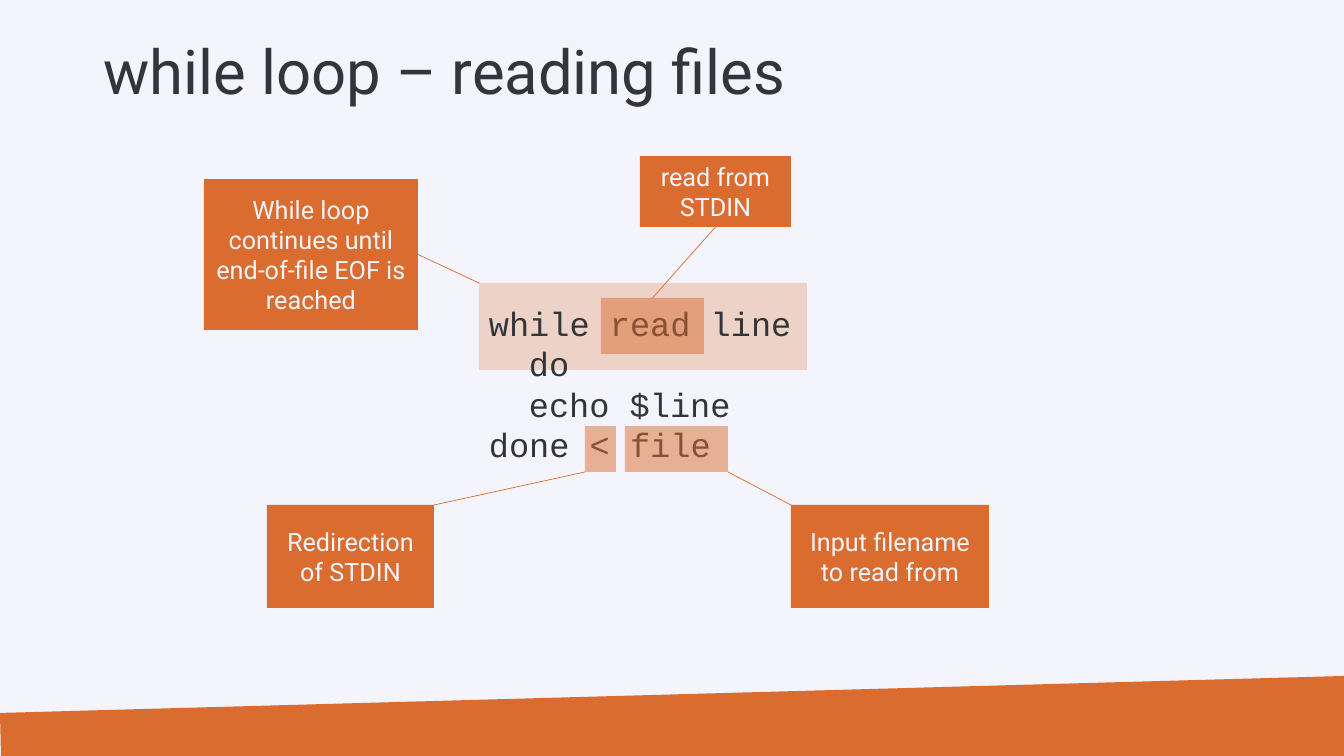
from lxml.etree import SubElement
from pptx import Presentation
from pptx.dml.color import RGBColor
from pptx.enum.shapes import MSO_CONNECTOR, MSO_SHAPE
from pptx.enum.text import MSO_ANCHOR, MSO_AUTO_SIZE, PP_ALIGN
from pptx.oxml.ns import qn
from pptx.util import Emu, Pt

EMU_PER_PX = 914400 / 100.8
SLIDE_WIDTH, SLIDE_HEIGHT = 1344, 756
CODE_INDENT = 40

PALE = RGBColor(0xF4, 0xF5, 0xFC)
ORANGE = RGBColor(0xDB, 0x6C, 0x30)
DARK = RGBColor(0x33, 0x36, 0x39)

BOTTOM_SIDE, RIGHT_SIDE, TOP_SIDE = 2, 3, 0


def px(length):
    return Emu(round(length * EMU_PER_PX))


def style_paragraph(para, font_name, size, color, align=PP_ALIGN.LEFT):
    para.alignment = align
    for span in para.runs:
        span.font.name = font_name
        span.font.size = Pt(size)
        span.font.color.rgb = color


def fill_orange(shape):
    shape.shadow.inherit = False
    shape.fill.solid()
    shape.fill.fore_color.rgb = ORANGE
    shape.line.fill.background()


def add_rectangle(page, left, top, width, height):
    box = page.shapes.add_shape(
        MSO_SHAPE.RECTANGLE, px(left), px(top), px(width), px(height))
    fill_orange(box)
    return box


def add_highlight(page, left, top, width, height, opacity):
    box = add_rectangle(page, left, top, width, height)
    color = box.fill._xPr.find(qn("a:solidFill"))[0]
    SubElement(color, qn("a:alpha")).set("val", str(opacity * 1000))
    return box


def add_callout(page, text, left, top, width, height):
    box = add_rectangle(page, left, top, width, height)
    frame = box.text_frame
    frame.word_wrap = True
    frame.vertical_anchor = MSO_ANCHOR.MIDDLE
    frame.text = text
    style_paragraph(frame.paragraphs[0], "Roboto", 18, PALE, PP_ALIGN.CENTER)
    return box


def add_leader(page, start, end):
    leader = page.shapes.add_connector(
        MSO_CONNECTOR.STRAIGHT, *map(px, start + end))
    leader.line.color.rgb = ORANGE
    leader.line.width = Pt(0.5)
    SubElement(leader._element.spPr, qn("a:effectLst"))
    return leader


def add_title(page, text):
    title = page.shapes.title
    title.left, title.top = px(93), px(2)
    title.width, title.height = px(1159), px(146)
    frame = title.text_frame
    frame.vertical_anchor = MSO_ANCHOR.MIDDLE
    frame.text = text
    para = frame.paragraphs[0]
    para.line_spacing = 0.9
    style_paragraph(para, "Roboto", 44, DARK)


def add_code(page, left, top, width, height, lines):
    box = page.shapes.add_textbox(px(left), px(top), px(width), px(height))
    frame = box.text_frame
    frame.word_wrap = True
    frame.auto_size = MSO_AUTO_SIZE.SHAPE_TO_FIT_TEXT
    frame.text = "\n".join(text for text, level in lines)
    for para, (text, level) in zip(frame.paragraphs, lines):
        style_paragraph(para, "Courier New", 24, DARK)
        para._p.get_or_add_pPr().set("marL", str(px(level * CODE_INDENT)))


def add_footer_band(page):
    builder = page.shapes.build_freeform(0, 713, scale=EMU_PER_PX)
    builder.add_line_segments(
        [(SLIDE_WIDTH, 676), (SLIDE_WIDTH, SLIDE_HEIGHT), (1, SLIDE_HEIGHT)])
    fill_orange(builder.convert_to_shape())


def main():
    deck = Presentation()
    deck.slide_width, deck.slide_height = px(SLIDE_WIDTH), px(SLIDE_HEIGHT)
    page = deck.slides.add_slide(deck.slide_layouts[5])
    page.background.fill.solid()
    page.background.fill.fore_color.rgb = PALE

    add_footer_band(page)
    add_title(page, "while loop – reading files")

    add_highlight(page, 479, 283, 328, 87, 25)
    add_code(page, 479, 298, 417, 173, [
        ("while read line", 0), ("do", 1), ("echo $line", 1), ("done < file", 0)])
    add_highlight(page, 585, 426, 31, 46, 50)
    add_highlight(page, 625, 426, 103, 46, 50)
    read_word = add_highlight(page, 601, 298, 103, 56, 50)

    loop_note = add_callout(
        page, "While loop continues until end-of-file EOF is reached",
        204, 179, 214, 151)
    read_note = add_callout(page, "read from STDIN", 640, 156, 151, 71)
    add_callout(page, "Redirection of STDIN", 267, 505, 167, 103)
    add_callout(page, "Input filename to read from", 791, 505, 198, 103)

    add_leader(page, (434, 505), (585, 472))
    add_leader(page, (728, 472), (791, 505))
    loop_leader = add_leader(page, (418, 255), (479, 283))
    loop_leader.begin_connect(loop_note, RIGHT_SIDE)
    read_leader = add_leader(page, (716, 227), (652, 298))
    read_leader.begin_connect(read_note, BOTTOM_SIDE)
    read_leader.end_connect(read_word, TOP_SIDE)

    deck.save("out.pptx")


if __name__ == "__main__":
    main()
